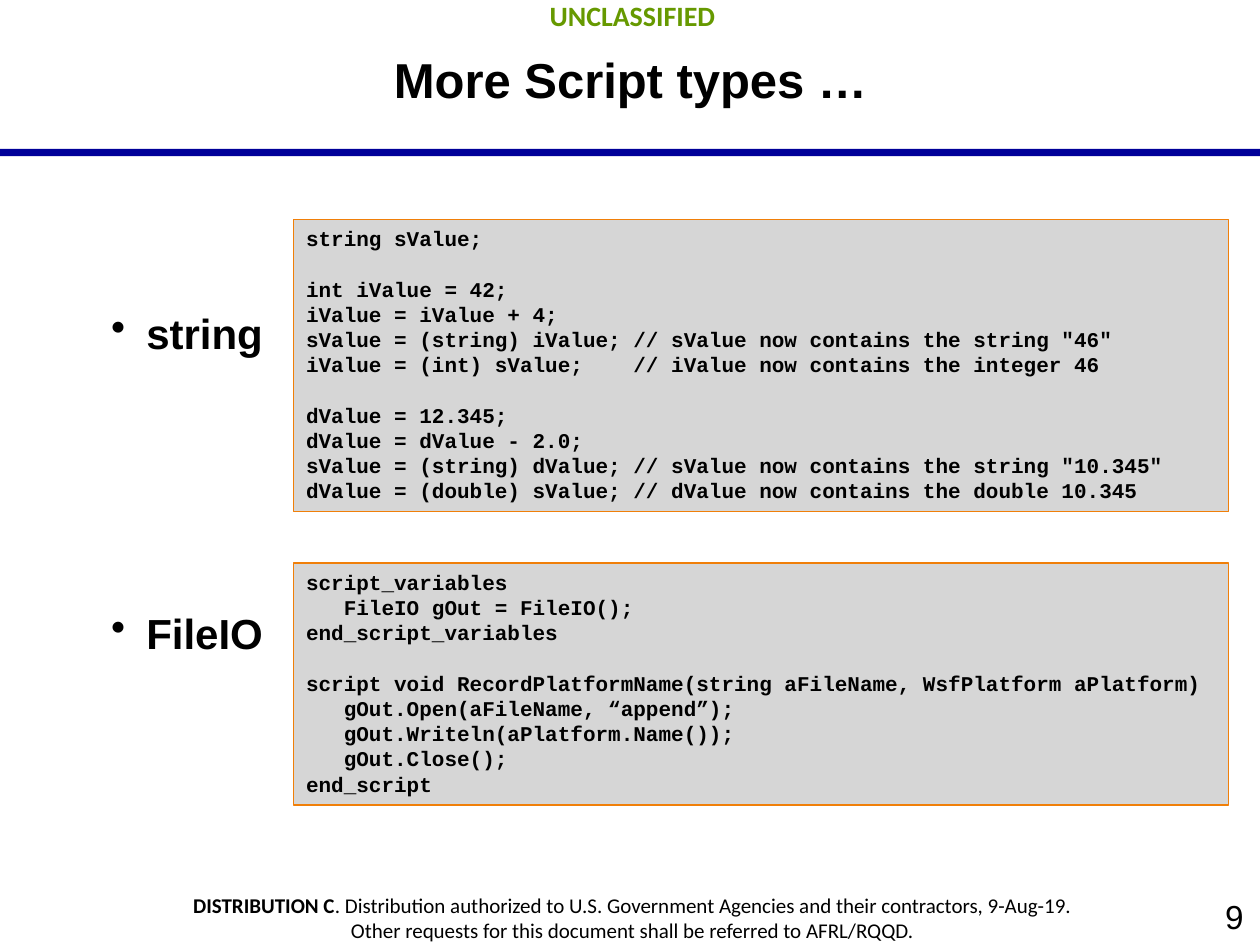
from dataclasses import dataclass

from lxml import etree
from pptx import Presentation
from pptx.dml.color import RGBColor
from pptx.enum.shapes import MSO_SHAPE
from pptx.enum.text import MSO_ANCHOR, PP_ALIGN
from pptx.oxml.ns import qn
from pptx.util import Cm, Pt

RECTANGLE = MSO_SHAPE.RECTANGLE
TOP, MIDDLE = MSO_ANCHOR.TOP, MSO_ANCHOR.MIDDLE
LEFT, CENTER, RIGHT = PP_ALIGN.LEFT, PP_ALIGN.CENTER, PP_ALIGN.RIGHT
COLORS = {
    "text": "000000",
    "rule": "000099",
    "marking": "669900",
    "panel": "D6D6D6",
    "border": "F07F09",
}
CODE_LEFT, CODE_WIDTH = 5.92, 18.85
CODE_PITCH = 14.4


@dataclass
class Style:
    size: float
    font: str = "Arial"
    color: str = "text"
    bold: bool = False


@dataclass
class CodePanel:
    top: float
    height: float
    code: str


CODE_STYLE = Style(12, "Courier New", bold=True)
BULLET_STYLE = Style(24, bold=True)
FOOTER_STYLE = Style(12, "Calibri")

PANELS = [
    CodePanel(4.42, 5.9, """string sValue;

int iValue = 42;
iValue = iValue + 4;
sValue = (string) iValue; // sValue now contains the string "46"
iValue = (int) sValue;    // iValue now contains the integer 46

dValue = 12.345;
dValue = dValue - 2.0;
sValue = (string) dValue; // sValue now contains the string "10.345"
dValue = (double) sValue; // dValue now contains the double 10.345"""),
    CodePanel(11.35, 4.88, """script_variables
   FileIO gOut = FileIO();
end_script_variables

script void RecordPlatformName(string aFileName, WsfPlatform aPlatform)
   gOut.Open(aFileName, “append”);
   gOut.Writeln(aPlatform.Name());
   gOut.Close();
end_script"""),
]


def rgb(name: str) -> RGBColor:
    return RGBColor.from_string(COLORS[name])


def add_span(para, text: str, style: Style) -> None:
    span = para.add_run()
    span.text = text
    span.font.name = style.font
    span.font.size = Pt(style.size)
    span.font.bold = style.bold
    span.font.color.rgb = rgb(style.color)


def next_para(frame, index: int, align=LEFT):
    para = frame.add_paragraph() if index else frame.paragraphs[0]
    para.alignment = align
    return para


def set_frame(frame, anchor=TOP, side: float = 0.33, edge: float = 0.18) -> None:
    frame.word_wrap = True
    frame.vertical_anchor = anchor
    frame.margin_left = frame.margin_right = Cm(side)
    frame.margin_top = frame.margin_bottom = Cm(edge)


def add_box(page, left: float, top: float, width: float, height: float, anchor=TOP):
    box = page.shapes.add_textbox(Cm(left), Cm(top), Cm(width), Cm(height))
    set_frame(box.text_frame, anchor)
    return box.text_frame


def add_rectangle(page, left: float, top: float, width: float, height: float, fill: str):
    box = page.shapes.add_shape(RECTANGLE, Cm(left), Cm(top), Cm(width), Cm(height))
    box.shadow.inherit = False
    box.fill.solid()
    box.fill.fore_color.rgb = rgb(fill)
    box.line.fill.background()
    return box


def add_title(page, text: str) -> None:
    title = page.shapes.title
    title.left, title.top, title.width, title.height = Cm(3.5), Cm(0), Cm(18.42), Cm(3.18)
    set_frame(title.text_frame, MIDDLE)
    add_span(next_para(title.text_frame, 0, CENTER), text, Style(28, bold=True))


def add_bullets(page, labels: list[str], gap: float) -> None:
    frame = add_box(page, 1.27, 6.02, 4.6, 7.5)
    for index, label in enumerate(labels):
        para = next_para(frame, index)
        properties = para._p.get_or_add_pPr()
        properties.set("marL", str(Cm(1.35)))
        properties.set("indent", str(Cm(-0.71)))
        etree.SubElement(properties, qn("a:buChar")).set("char", "•")
        if index:
            para.space_before = Pt(gap)
        add_span(para, label, BULLET_STYLE)


def add_code(page, panel: CodePanel) -> None:
    box = add_rectangle(page, CODE_LEFT, panel.top, CODE_WIDTH, panel.height, "panel")
    box.line.color.rgb = rgb("border")
    box.line.width = Pt(0.75)
    frame = box.text_frame
    set_frame(frame, side=0.25, edge=0.13)
    lines = [
        (line, block > 0 and row == 0)
        for block, text in enumerate(panel.code.split("\n\n"))
        for row, line in enumerate(text.split("\n"))
    ]
    for index, (line, starts_block) in enumerate(lines):
        para = next_para(frame, index)
        para.line_spacing = Pt(CODE_PITCH)
        if starts_block:
            para.space_before = Pt(CODE_PITCH)
        add_span(para, line, CODE_STYLE)


def add_footer(page) -> None:
    frame = add_box(page, 0.03, 17.81, 25.45, 1.37)
    first = next_para(frame, 0, CENTER)
    add_span(first, "DISTRIBUTION C", Style(12, "Calibri", bold=True))
    add_span(
        first,
        ". Distribution authorized to U.S. Government Agencies and their contractors, 9-Aug-19.",
        FOOTER_STYLE,
    )
    add_span(
        next_para(frame, 1, CENTER),
        "Other requests for this document shall be referred to AFRL/RQQD.",
        FOOTER_STYLE,
    )


def main() -> None:
    deck = Presentation()
    deck.slide_width, deck.slide_height = Cm(25.4), Cm(19.05)
    page = deck.slides.add_slide(deck.slide_layouts[5])
    add_rectangle(page, 0, 3, 25.4, 0.15, "rule")
    number = add_box(page, 20.32, 17.91, 5.08, 1.14, MIDDLE)
    add_span(next_para(number, 0, RIGHT), "9", Style(19))
    marking = add_box(page, 0.05, -0.2, 25.4, 1.02)
    add_span(next_para(marking, 0, CENTER), "UNCLASSIFIED", Style(16, "Calibri", "marking", True))
    add_footer(page)
    add_title(page, "More Script types …")
    add_bullets(page, ["string", "FileIO"], gap=142.7)
    for panel in PANELS:
        add_code(page, panel)
    deck.save("out.pptx")


if __name__ == "__main__":
    main()
